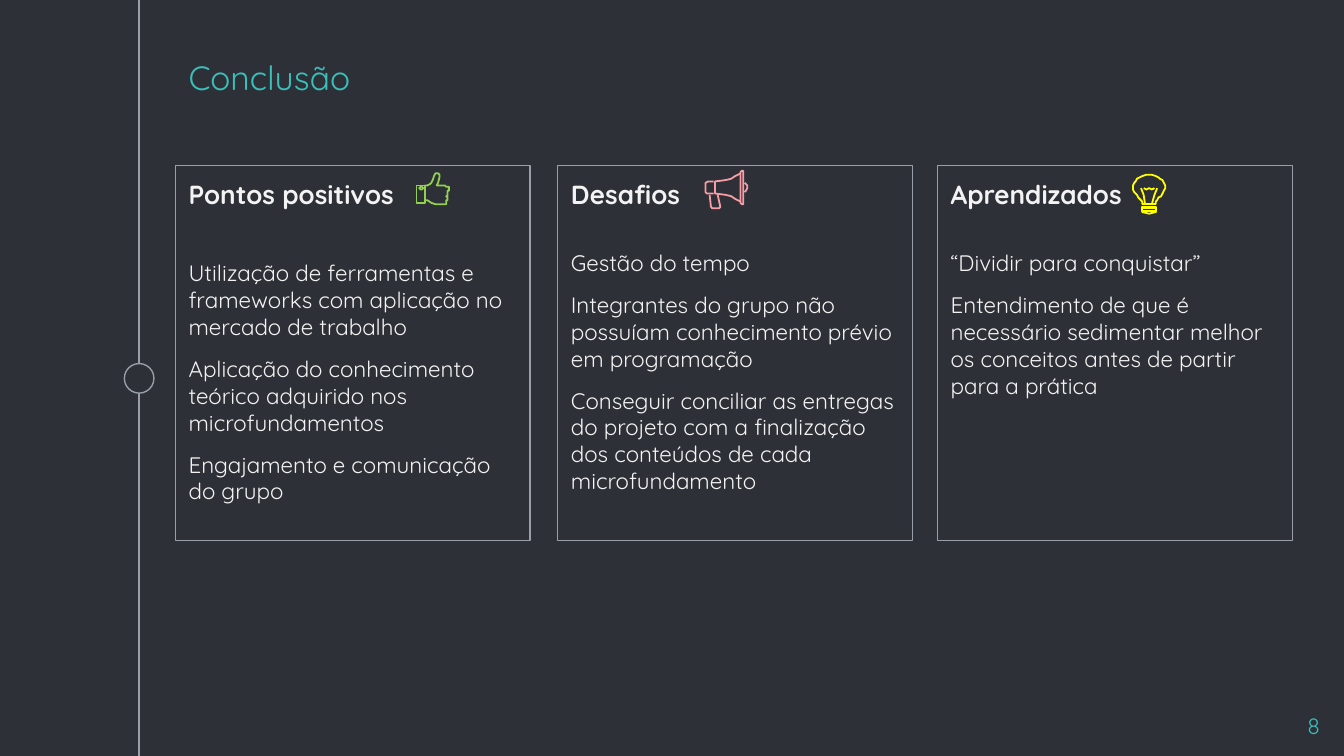
from lxml.etree import SubElement
from pptx import Presentation
from pptx.dml.color import RGBColor as Rgb
from pptx.enum.shapes import MSO_CONNECTOR as Conn, MSO_SHAPE as Shape
from pptx.enum.text import MSO_ANCHOR as Anchor, PP_ALIGN as Align
from pptx.oxml.ns import qn
from pptx.util import Pt

PX = 4572  # 200 px to the inch
STEP = 2  # px in one step of the icon grid
HUES = {
    "back": "2E3037", "rule": "999FA9", "teal": "39C0BA", "text": "F3F3F3",
    "green": "92D050", "pink": "F89DA5", "gold": "FFFF00",
}


def write(frame, text, size=12, hue="text", bold=False, align=Align.LEFT,
          before=0, after=0):
    """Fill the empty first paragraph, or add a new one."""
    para = frame.paragraphs[0]
    if para.runs:
        para = frame.add_paragraph()
    para.alignment = align
    para.space_before, para.space_after = Pt(before), Pt(after)
    run = para.add_run()
    run.text = text
    font = run.font
    font.name, font.size, font.bold = "Quicksand", Pt(size), bold
    font.color.rgb = Rgb.from_string(HUES[hue])


class Deck:
    def __init__(self, wide, high):
        self.show = Presentation()
        self.show.slide_width, self.show.slide_height = wide * PX, high * PX
        self.slide = self.show.slides.add_slide(self.show.slide_layouts[6])
        self.shapes = self.slide.shapes
        fill = self.slide.background.fill
        fill.solid()
        fill.fore_color.rgb = Rgb.from_string(HUES["back"])

    def stroke(self, item, hue, width):
        item.line.color.rgb = Rgb.from_string(HUES[hue])
        item.line.width = Pt(width)

    def line(self, x1, y1, x2, y2, hue="rule", width=0.75, home=None):
        home = home or self.shapes
        item = home.add_connector(
            Conn.STRAIGHT, x1 * PX, y1 * PX, x2 * PX, y2 * PX)
        self.stroke(item, hue, width)
        SubElement(item._element.spPr, qn("a:effectLst"))

    def shape(self, kind, x, y, w, h, fill=None):
        item = self.shapes.add_shape(kind, x * PX, y * PX, w * PX, h * PX)
        item.shadow.inherit = False
        if fill:
            item.fill.solid()
            item.fill.fore_color.rgb = Rgb.from_string(HUES[fill])
        else:
            item.fill.background()
        self.stroke(item, "rule", 0.75)
        return item

    def frame(self, item, anchor=Anchor.TOP):
        frame = item.text_frame
        frame.word_wrap = True
        frame.vertical_anchor = anchor
        frame.margin_left = frame.margin_right = 20 * PX
        frame.margin_top = frame.margin_bottom = 20 * PX
        return frame

    def label(self, x, y, w, h, text, anchor=Anchor.TOP, **style):
        item = self.shapes.add_textbox(x * PX, y * PX, w * PX, h * PX)
        write(self.frame(item, anchor), text, **style)

    def card(self, x, head, items, gap):
        frame = self.frame(self.shape(Shape.RECTANGLE, x, 246, 528, 558))
        write(frame, head, size=14, bold=True)
        for i, text in enumerate(items):
            write(frame, text, before=4 if i else gap, after=4)

    def icon(self, hue, parts):
        """Each part is a list of (closed, points) contours."""
        home = self.shapes.add_group_shape().shapes
        for part in parts:
            (shut, dots), *rest = part
            if len(dots) == 2:
                ends = [n * STEP for dot in dots for n in dot]
                self.line(*ends, hue=hue, width=0.96, home=home)
                continue
            pen = home.build_freeform(*dots[0], scale=STEP * PX)
            pen.add_line_segments(dots[1:], close=shut)
            for shut, dots in rest:
                pen.move_to(*dots[0])
                pen.add_line_segments(dots[1:], close=shut)
            item = pen.convert_to_shape()
            item.shadow.inherit = False
            item.fill.background()
            self.stroke(item, hue, 0.96)


def box(x1, y1, x2, y2):
    return True, [(x1, y1), (x2, y1), (x2, y2), (x1, y2)]


THUMB = [
    [box(310, 138, 316, 151),
     (True, [(312, 140), (313, 139), (314, 139), (315, 140), (314, 141),
             (313, 141)])],
    [(False, [
        (316, 149), (318, 149), (321, 151), (324, 152), (328, 152),
        (332, 152), (332, 149), (333, 149), (333, 147), (332, 146),
        (333, 146), (333, 142), (334, 142), (334, 139), (332, 139),
        (331, 138), (325, 138), (326, 136), (327, 132), (327, 130),
        (326, 129), (324, 129), (323, 131), (322, 134), (321, 136),
        (320, 137), (318, 138), (316, 138)])],
]
HORN = [
    [(False, [(528, 145), (529, 154), (530, 155), (535, 155), (536, 154),
              (534, 145)])],
    [(False, [(554, 143), (555, 142), (556, 140), (556, 138), (555, 137),
              (554, 136)])],
    [(False, [(531, 135), (527, 135), (525, 136), (525, 143), (526, 144),
              (531, 144)])],
    [(False, [(551, 129), (547, 131), (544, 133), (540, 134), (532, 135),
              (532, 144), (540, 145), (544, 146), (547, 148), (551, 150)])],
    [(True, [(553, 127), (552, 127), (551, 128), (551, 151), (552, 152),
             (553, 152)])],
]
BULB = [
    [box(850, 155, 860, 157)],
    [box(850, 154, 860, 155)],
    [(True, [(850, 157), (850, 158), (851, 158), (855, 159), (859, 158),
             (860, 158), (860, 157)])],
    [(False, [(852, 152), (851, 145), (849, 140)])],
    [(False, [
        (860, 152), (860, 150), (861, 149), (862, 147), (864, 146),
        (865, 144), (866, 142), (867, 140), (867, 138), (866, 136),
        (865, 134), (863, 133), (862, 132), (860, 131), (857, 130),
        (853, 130), (850, 131), (848, 132), (846, 133), (845, 135),
        (844, 136), (843, 138), (843, 141), (844, 143), (846, 145),
        (847, 147), (849, 149), (850, 150), (850, 152)])],
    [(False, [(861, 140), (859, 145), (857, 152)])],
    [(False, [(851, 140), (853, 141), (855, 140), (857, 141), (859, 140)])],
    [(False, [(850, 152), (860, 152)])],
]
CARDS = [
    (830, "Desafios", 21, [
        "Gestão do tempo",
        "Integrantes do grupo não possuíam conhecimento prévio em "
        "programação",
        "Conseguir conciliar as entregas do projeto com a finalização dos "
        "conteúdos de cada microfundamento"]),
    (1395, "Aprendizados", 21, [
        "“Dividir para conquistar”",
        "Entendimento de que é necessário sedimentar melhor os conceitos "
        "antes de partir para a prática"]),
    (261, "Pontos positivos", 26.5, [
        "Utilização de ferramentas e frameworks com aplicação no mercado "
        "de trabalho",
        "Aplicação do conhecimento teórico adquirido nos microfundamentos",
        "Engajamento e comunicação do grupo"]),
]


def main():
    deck = Deck(2000, 1125)

    # Timeline and page number
    deck.line(207, 0, 207, 1125)
    deck.shape(Shape.OVAL, 185, 541, 44, 44, fill="back")
    deck.label(1864, 1040, 120, 68, "8", hue="teal", align=Align.RIGHT)

    # Cards
    for x, head, gap, items in CARDS:
        deck.card(x, head, items, gap)

    # Title
    deck.label(261, 89, 1500, 76, "Conclusão", anchor=Anchor.BOTTOM,
               size=18, hue="teal")

    # Icons
    for hue, parts in (("green", THUMB), ("pink", HORN), ("gold", BULB)):
        deck.icon(hue, parts)

    deck.show.save("out.pptx")


if __name__ == "__main__":
    main()
